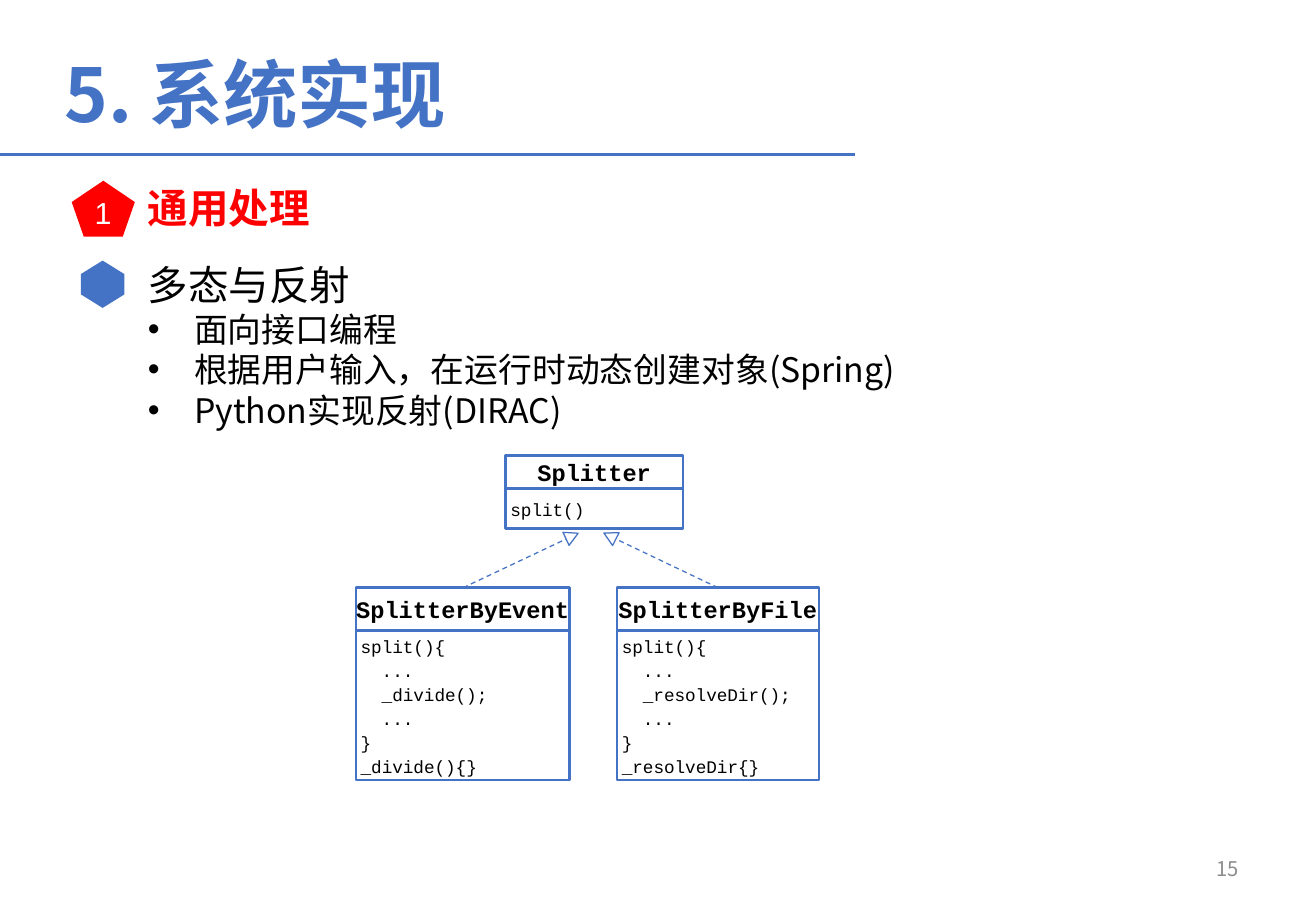
import pptx
import pptx.util
import pptx.dml.color
import pptx.enum.dml
import pptx.enum.shapes
import pptx.enum.text
import pptx.oxml
import pptx.oxml.ns

Cm = pptx.util.Cm
Pt = pptx.util.Pt
RGBColor = pptx.dml.color.RGBColor
SHAPE = pptx.enum.shapes.MSO_SHAPE
ALIGN = pptx.enum.text.PP_ALIGN
ANCHOR = pptx.enum.text.MSO_ANCHOR

BLUE = RGBColor(0x44, 0x72, 0xC4)
RED = RGBColor(0xFF, 0x00, 0x00)
BLACK = RGBColor(0x00, 0x00, 0x00)
WHITE = RGBColor(0xFF, 0xFF, 0xFF)
GRAY = RGBColor(0x8C, 0x8C, 0x8C)

CHINESE = "Noto Sans CJK SC"
CODE = "Courier New"
CODE_INDENT = Cm(0.44)
BULLET_INDENT = Cm(0.97)

CLASSES = [
    ("Splitter", 10.57, 9.53, 3.71, 0.69, 0.83, [("split()", 0)]),
    ("SplitterByEvent", 7.44, 12.29, 4.47, 0.89, 3.13,
     [("split(){", 0), ("...", 1), ("_divide();", 1), ("...", 1), ("}", 0), ("_divide(){}", 0)]),
    ("SplitterByFile", 12.9, 12.29, 4.22, 0.89, 3.13,
     [("split(){", 0), ("...", 1), ("_resolveDir();", 1), ("...", 1), ("}", 0), ("_resolveDir{}", 0)]),
]
INHERITANCE = [(9.68, 12.09, 11.81, 65), (15.01, 12.62, 12.6, 297.1)]


def add_xml(parent, tag, **attributes):
    element = pptx.oxml.parse_xml(f"<{tag} {pptx.oxml.ns.nsdecls('a')}/>")
    for name, value in attributes.items():
        element.set(name, value)
    parent.append(element)


def set_text(para, text, size, color, font=CHINESE, bold=False, spacing=None):
    para.text = text
    para.font.size = Pt(size)
    para.font.name = font
    para.font.bold = bold
    para.font.color.rgb = color
    if spacing:
        para.line_spacing = Pt(spacing)
    for span in para.runs:
        add_xml(span._r.get_or_add_rPr(), "a:ea", typeface=font)


def add_text(slide, left, top, width, height, text, size, color, **style):
    box = slide.shapes.add_textbox(Cm(left), Cm(top), Cm(width), Cm(height))
    box.text_frame.word_wrap = True
    set_text(box.text_frame.paragraphs[0], text, size, color, **style)
    return box.text_frame


def add_bullet(frame, text):
    para = frame.add_paragraph()
    set_text(para, text, 20, BLACK, spacing=24)
    properties = para._p.get_or_add_pPr()
    properties.set("marL", str(BULLET_INDENT))
    properties.set("indent", str(-BULLET_INDENT))
    bullet_index = len(properties.findall(pptx.oxml.ns.qn("a:lnSpc")))
    add_xml(properties, "a:buFont", typeface="Arial")
    add_xml(properties, "a:buChar", char="•")
    for tag in ("a:buChar", "a:buFont"):
        properties.insert(bullet_index, properties.find(pptx.oxml.ns.qn(tag)))


def add_shape(slide, kind, left, top, width, height, fill, line_width=0, rotation=0):
    shape = slide.shapes.add_shape(kind, Cm(left), Cm(top), Cm(width), Cm(height))
    shape.shadow.inherit = False
    shape.rotation = rotation
    shape.fill.solid()
    shape.fill.fore_color.rgb = fill
    if line_width:
        shape.line.color.rgb = BLUE
        shape.line.width = Pt(line_width)
    else:
        shape.line.fill.background()
    return shape


def add_line(slide, start, end, width):
    line = slide.shapes.add_connector(
        pptx.enum.shapes.MSO_CONNECTOR.STRAIGHT, *(Cm(value) for value in start + end))
    line.line.color.rgb = BLUE
    line.line.width = Pt(width)
    add_xml(line._element.spPr, "a:effectLst")
    return line


def add_class(slide, name, left, top, width, name_height, code_height, code):
    header = add_shape(slide, SHAPE.RECTANGLE, left, top, width, name_height, WHITE, 1.5)
    header.text_frame.word_wrap = False
    header.text_frame.vertical_anchor = ANCHOR.MIDDLE
    title = header.text_frame.paragraphs[0]
    set_text(title, name, 14, BLACK, font=CODE, bold=True)
    title.alignment = ALIGN.CENTER

    body = add_shape(slide, SHAPE.RECTANGLE, left, top + name_height, width, code_height, WHITE, 1.5)
    frame = body.text_frame
    frame.word_wrap = True
    frame.vertical_anchor = ANCHOR.MIDDLE
    frame.margin_left = Cm(0.1)
    for index, (text, level) in enumerate(code):
        para = frame.add_paragraph() if index else frame.paragraphs[0]
        set_text(para, text, 10.5, BLACK, font=CODE, spacing=14.2)
        para.alignment = ALIGN.LEFT
        para._p.get_or_add_pPr().set("marL", str(level * CODE_INDENT))


def add_inheritance(slide, start, end, head_left, rotation):
    line = add_line(slide, (start, 12.29), (end, 11.15), 0.75)
    line.line.dash_style = pptx.enum.dml.MSO_LINE.DASH
    add_xml(line.line._get_or_add_ln(), "a:tailEnd", type="arrow")
    add_shape(slide, SHAPE.ISOSCELES_TRIANGLE, head_left, 11.07, 0.3, 0.28, WHITE, 0.75, rotation)


def add_title(slide, text):
    title = slide.shapes.title
    title.left, title.top, title.width, title.height = Cm(1.09), Cm(0.81), Cm(22.1), Cm(1.8)
    frame = title.text_frame
    frame.auto_size = pptx.enum.text.MSO_AUTO_SIZE.NONE
    frame.vertical_anchor = ANCHOR.TOP
    set_text(frame.paragraphs[0], text, 44, BLUE, bold=True, spacing=55)
    frame.paragraphs[0].alignment = ALIGN.LEFT


def main():
    deck = pptx.Presentation()
    deck.slide_width, deck.slide_height = Cm(27.51), Cm(19.05)
    slide = deck.slides.add_slide(deck.slide_layouts[5])

    add_line(slide, (0, 3.23), (17.88, 3.23), 1.25)
    add_title(slide, "5. 系统实现")

    topic = add_text(slide, 2.84, 5.31, 20.45, 3.84, "多态与反射", 24, BLACK, spacing=28.8)
    for text in ("面向接口编程", "根据用户输入，在运行时动态创建对象(Spring)", "Python实现反射(DIRAC)"):
        add_bullet(topic, text)
    hexagon = add_shape(slide, SHAPE.HEXAGON, 1.65, 5.49, 0.99, 0.91, BLUE, rotation=90)
    hexagon.adjustments[0] = 0.31

    add_text(slide, 2.84, 3.71, 21.31, 1.27, "通用处理", 24, RED, bold=True, spacing=28.8)
    add_shape(slide, SHAPE.REGULAR_PENTAGON, 1.5, 3.78, 1.32, 1.17, RED)

    for entry in CLASSES:
        add_class(slide, *entry)
    for entry in INHERITANCE:
        add_inheritance(slide, *entry)

    add_text(slide, 1.73, 3.94, 0.86, 1.02, "1", 18, WHITE, font="Arial")
    number = add_text(slide, 19.71, 17.65, 6.43, 1.02, "15", 12, GRAY)
    number.vertical_anchor = ANCHOR.MIDDLE
    number.paragraphs[0].alignment = ALIGN.RIGHT

    deck.save("out.pptx")


if __name__ == "__main__":
    main()
